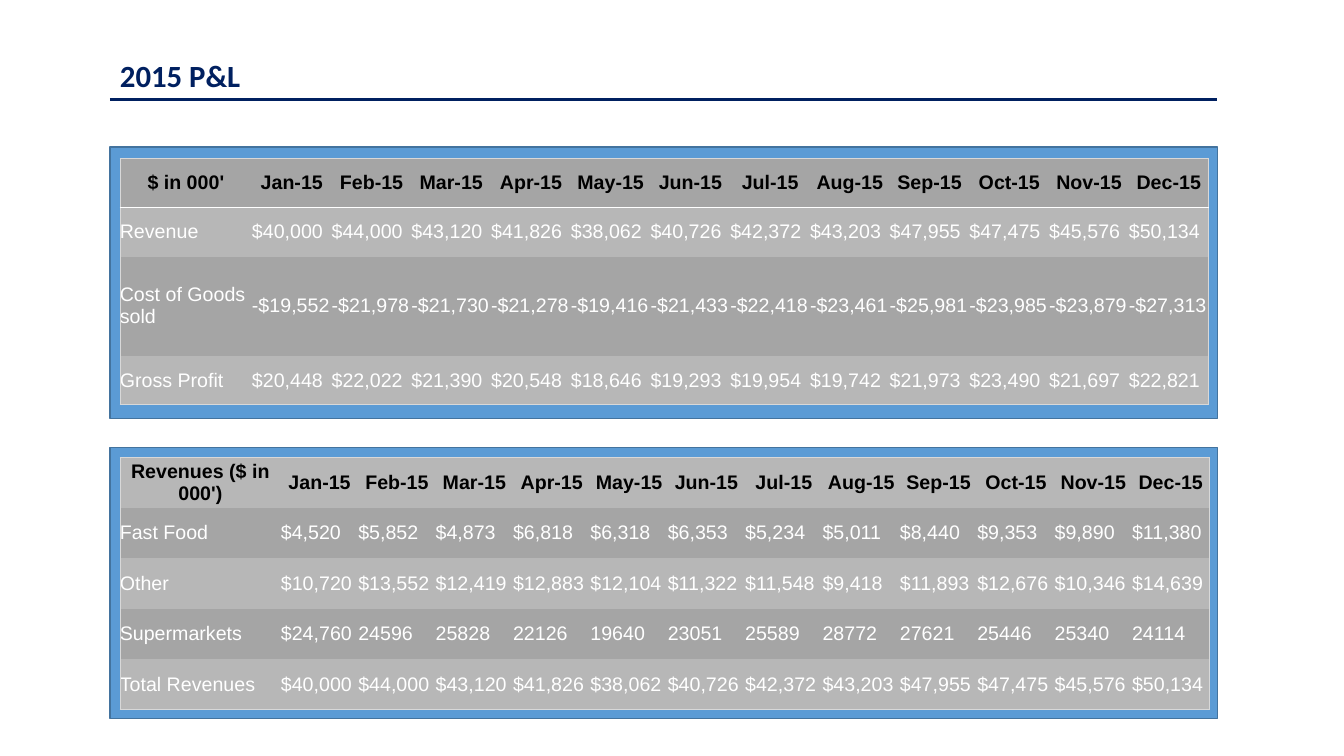
from lxml.etree import SubElement
from pptx import Presentation
from pptx.dml.color import RGBColor
from pptx.enum.shapes import MSO_CONNECTOR, MSO_SHAPE
from pptx.enum.text import MSO_ANCHOR, MSO_AUTO_SIZE, PP_ALIGN
from pptx.oxml.ns import qn
from pptx.util import Cm, Pt

COLORS = {
    "navy": "002060",
    "panel": "5B9BD5",
    "panel_edge": "43739E",
    "dark_band": "A5A5A5",
    "light_band": "B7B7B7",
    "frame": "D8D8D8",
    "heading": "000000",
    "white": "FFFFFF",
}
NO_GRID_STYLE = "{2D5ABB26-0587-4C30-8999-92F81FD0307C}"
LEFT, WIDTH = 2.77, 27.91
TABLE_LEFT = 3.02

MONTHS = [f"{month}-15" for month in
          "Jan Feb Mar Apr May Jun Jul Aug Sep Oct Nov Dec".split()]
REVENUE = ("$40,000 $44,000 $43,120 $41,826 $38,062 $40,726 "
           "$42,372 $43,203 $47,955 $47,475 $45,576 $50,134").split()

PROFIT_ROWS = [
    ["$ in 000'", *MONTHS],
    ["Revenue", *REVENUE],
    ["Cost of Goods sold",
     *("-$19,552 -$21,978 -$21,730 -$21,278 -$19,416 -$21,433 "
       "-$22,418 -$23,461 -$25,981 -$23,985 -$23,879 -$27,313").split()],
    ["Gross Profit",
     *("$20,448 $22,022 $21,390 $20,548 $18,646 $19,293 "
       "$19,954 $19,742 $21,973 $23,490 $21,697 $22,821").split()],
]
SEGMENT_ROWS = [
    ["Revenues ($ in 000')", *MONTHS],
    ["Fast Food",
     *("$4,520 $5,852 $4,873 $6,818 $6,318 $6,353 "
       "$5,234 $5,011 $8,440 $9,353 $9,890 $11,380").split()],
    ["Other",
     *("$10,720 $13,552 $12,419 $12,883 $12,104 $11,322 "
       "$11,548 $9,418 $11,893 $12,676 $10,346 $14,639").split()],
    ["Supermarkets",
     *("$24,760 24596 25828 22126 19640 23051 "
       "25589 28772 27621 25446 25340 24114").split()],
    ["Total Revenues", *REVENUE],
]


def rgb(name):
    return RGBColor.from_string(COLORS[name])


def add_run(paragraph, text, font, size, color, bold):
    run = paragraph.add_run()
    run.text = text
    run.font.name = font
    run.font.size = Pt(size)
    run.font.bold = bold
    run.font.color.rgb = rgb(color)


def add_heading(slide, text):
    heading = slide.shapes.title
    heading.left, heading.top = Cm(LEFT), Cm(1.3)
    heading.width, heading.height = Cm(9.3), Cm(1.19)
    frame = heading.text_frame
    frame.word_wrap = True
    frame.auto_size = MSO_AUTO_SIZE.SHAPE_TO_FIT_TEXT
    frame.vertical_anchor = MSO_ANCHOR.TOP
    frame.paragraphs[0].alignment = PP_ALIGN.LEFT
    add_run(frame.paragraphs[0], text, "Calibri", 22, "navy", True)


def add_rule(slide, top):
    rule = slide.shapes.add_connector(
        MSO_CONNECTOR.STRAIGHT, Cm(LEFT), Cm(top), Cm(LEFT + WIDTH), Cm(top))
    rule.line.color.rgb = rgb("navy")
    rule.line.width = Pt(2.25)
    SubElement(rule._element.spPr, qn("a:effectLst"))


def add_panel(slide, top):
    panel = slide.shapes.add_shape(
        MSO_SHAPE.RECTANGLE, Cm(LEFT), Cm(top), Cm(WIDTH), Cm(6.83))
    panel.shadow.inherit = False
    panel.fill.solid()
    panel.fill.fore_color.rgb = rgb("panel")
    panel.line.color.rgb = rgb("panel_edge")
    panel.line.width = Pt(1)


def add_border(cell, side, color, points):
    line = SubElement(cell._tc.get_or_add_tcPr(), qn(f"a:ln{side}"),
                      w=str(Pt(points)))
    fill = SubElement(line, qn("a:solidFill"))
    SubElement(fill, qn("a:srgbClr"), val=COLORS[color])


def format_cell(cell, text, is_header, band):
    cell.margin_left = cell.margin_right = 0
    cell.margin_top = cell.margin_bottom = 0
    cell.vertical_anchor = MSO_ANCHOR.MIDDLE
    cell.fill.solid()
    cell.fill.fore_color.rgb = rgb(band)
    paragraph = cell.text_frame.paragraphs[0]
    paragraph.alignment = PP_ALIGN.CENTER if is_header else PP_ALIGN.LEFT
    add_run(paragraph, text, "Arial", 14,
            "heading" if is_header else "white", is_header)


def add_banded_table(slide, top, rows, label_width, month_width, heights,
                     bands, header_line):
    """Add a framed table whose row fills alternate between two bands."""
    widths = [label_width] + [month_width] * len(MONTHS)
    graphic = slide.shapes.add_table(
        len(rows), len(widths), Cm(TABLE_LEFT), Cm(top),
        Cm(sum(widths)), Cm(sum(heights)))
    table = graphic.table
    table._tbl.tblPr.find(qn("a:tableStyleId")).text = NO_GRID_STYLE
    for column, width in zip(table.columns, widths):
        column.width = Cm(width)
    last_row, last_column = len(rows) - 1, len(widths) - 1
    for r, values in enumerate(rows):
        table.rows[r].height = Cm(heights[r])
        for c, text in enumerate(values):
            cell = table.cell(r, c)
            # Borders come before the fill, in schema order L, R, T, B.
            if c == 0:
                add_border(cell, "L", "frame", 0.5)
            if c == last_column:
                add_border(cell, "R", "frame", 0.5)
            if r == 0:
                add_border(cell, "T", "frame", 0.5)
            if r == 0 and header_line:
                add_border(cell, "B", "white", 1.5)
            if r == last_row:
                add_border(cell, "B", "frame", 0.5)
            format_cell(cell, text, r == 0, bands[r % 2])


def main():
    deck = Presentation()
    deck.slide_width, deck.slide_height = Cm(33.87), Cm(19.05)
    slide = deck.slides.add_slide(deck.slide_layouts[5])
    add_rule(slide, 2.51)
    add_heading(slide, "2015 P&L")
    for top in (3.71, 11.28):
        add_panel(slide, top)
    add_banded_table(slide, 3.99, PROFIT_ROWS, 3.33, 2.01,
                     [1.24, 1.24, 2.49, 1.24],
                     ("dark_band", "light_band"), header_line=True)
    add_banded_table(slide, 11.53, SEGMENT_ROWS, 4.06, 1.95, [1.27] * 5,
                     ("light_band", "dark_band"), header_line=False)
    deck.save("out.pptx")


if __name__ == "__main__":
    main()
